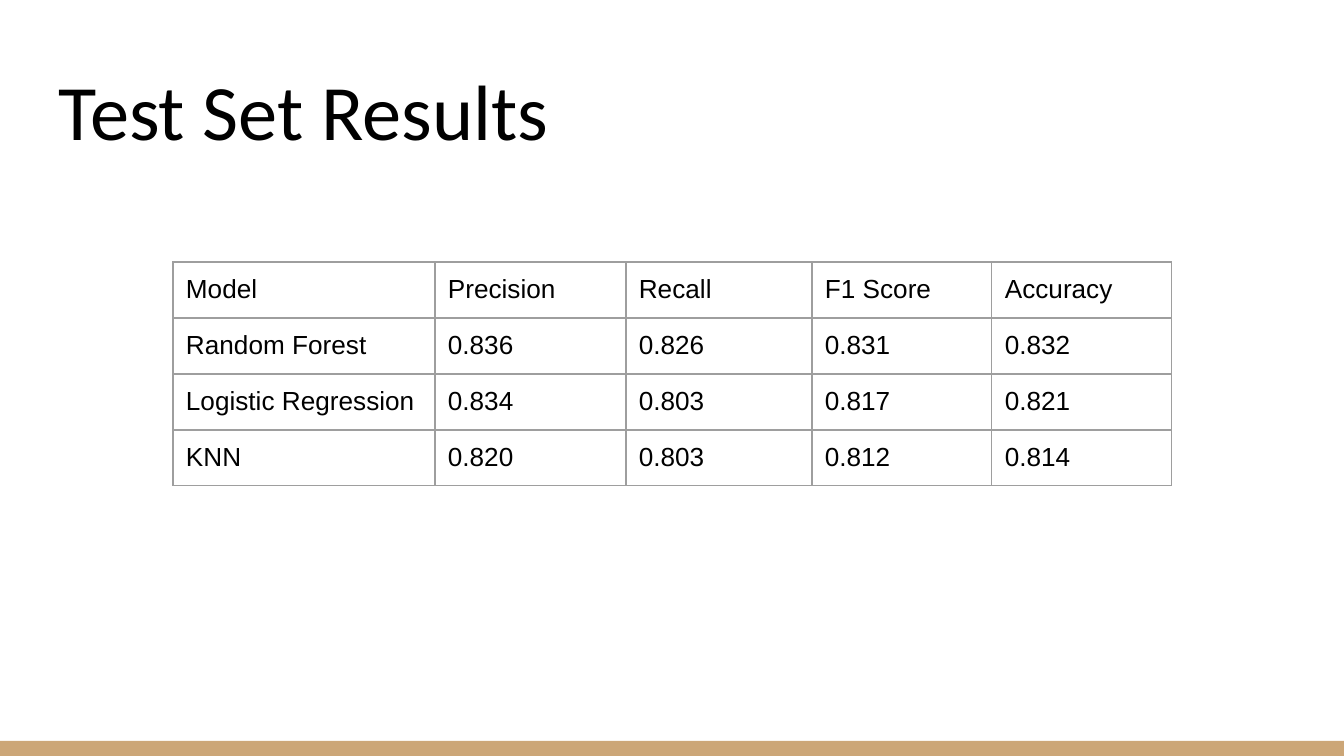
from lxml.etree import SubElement
from pptx import Presentation
from pptx.dml.color import RGBColor
from pptx.enum.shapes import MSO_SHAPE
from pptx.enum.text import MSO_ANCHOR, MSO_AUTO_SIZE, PP_ALIGN
from pptx.oxml.ns import qn
from pptx.util import Emu, Pt

BLACK = RGBColor(0x00, 0x00, 0x00)
TAN = RGBColor(0xCC, 0xA6, 0x77)
GREY = RGBColor(0x9E, 0x9E, 0x9E)

SLIDE_WIDTH, SLIDE_HEIGHT = 1344, 756
INSET = 13
COLUMN_WIDTHS = [262, 191, 186, 180, 180]
ROW_HEIGHT = 56

RESULTS = [
    ["Model", "Precision", "Recall", "F1 Score", "Accuracy"],
    ["Random Forest", "0.836", "0.826", "0.831", "0.832"],
    ["Logistic Regression", "0.834", "0.803", "0.817", "0.821"],
    ["KNN", "0.820", "0.803", "0.812", "0.814"],
]

TITLE_FONT = {"name": "Calibri", "size": Pt(42), "bold": False}
TABLE_FONT = {"name": "Arial", "size": Pt(14), "bold": False}
MARGINS = ("margin_left", "margin_top", "margin_right", "margin_bottom")


def px(length):
    return Emu(round(length * 914400 / 134.4))


def set_format(target, values):
    for attribute, value in values.items():
        setattr(target, attribute, value)


def set_font(font, values):
    set_format(font, values)
    font.color.rgb = BLACK


def add_footer_band(slide):
    height = 15
    band = slide.shapes.add_shape(
        MSO_SHAPE.RECTANGLE, 0, px(SLIDE_HEIGHT - height), px(SLIDE_WIDTH), px(height))
    band.shadow.inherit = False
    band.fill.solid()
    band.fill.fore_color.rgb = TAN
    band.line.fill.background()


def set_title(slide, text):
    title = slide.shapes.title
    set_format(title, {"left": px(46), "top": px(47),
                       "width": px(1252), "height": px(122)})
    frame = title.text_frame
    frame.text = text
    set_format(frame, {"vertical_anchor": MSO_ANCHOR.BOTTOM, "word_wrap": True,
                       "auto_size": MSO_AUTO_SIZE.NONE,
                       **dict.fromkeys(MARGINS, px(INSET))})
    heading = frame.paragraphs[0]
    heading.alignment = PP_ALIGN.LEFT
    set_font(heading.runs[0].font, TITLE_FONT)


def add_borders(cell):
    properties = cell._tc.get_or_add_tcPr()
    for side in ("a:lnL", "a:lnR", "a:lnT", "a:lnB"):
        border = SubElement(properties, qn(side), w=str(Pt(0.75)))
        fill = SubElement(border, qn("a:solidFill"))
        SubElement(fill, qn("a:srgbClr"), val=str(GREY))


def fill_cell(cell, text):
    cell.text = text
    set_format(cell, dict.fromkeys(MARGINS, px(INSET)))
    set_font(cell.text_frame.paragraphs[0].runs[0].font, TABLE_FONT)
    # Borders must come before the fill in the cell properties
    add_borders(cell)
    cell.fill.background()


def add_results_table(slide, left, top):
    table = slide.shapes.add_table(
        len(RESULTS), len(COLUMN_WIDTHS), px(left), px(top),
        px(sum(COLUMN_WIDTHS)), px(ROW_HEIGHT * len(RESULTS))).table
    set_format(table, {"first_row": False, "horz_banding": False})
    for column, width in zip(table.columns, COLUMN_WIDTHS):
        column.width = px(width)
    for row, values in zip(table.rows, RESULTS):
        row.height = px(ROW_HEIGHT)
        for cell, value in zip(row.cells, values):
            fill_cell(cell, value)


def main():
    presentation = Presentation()
    set_format(presentation, {"slide_width": px(SLIDE_WIDTH),
                              "slide_height": px(SLIDE_HEIGHT)})
    title_only = presentation.slide_layouts[5]
    slide = presentation.slides.add_slide(title_only)

    # Band along the bottom edge
    add_footer_band(slide)

    # Heading and scores
    set_title(slide, "Test Set Results")
    add_results_table(slide, 173, 262)

    presentation.save("out.pptx")


if __name__ == "__main__":
    main()
